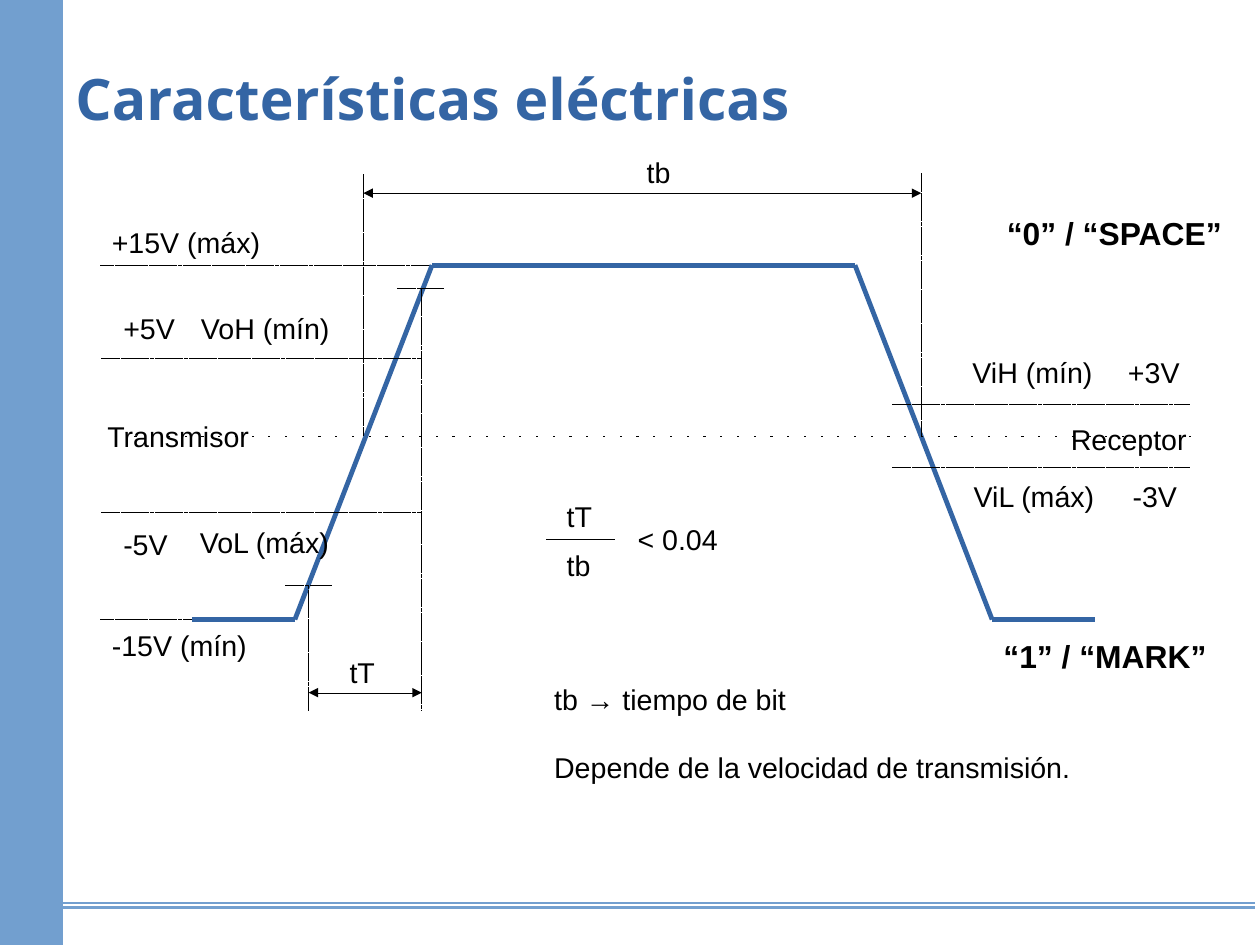
from itertools import pairwise

from pptx import Presentation
from pptx import util as u
from pptx.dml.color import RGBColor
from pptx.enum import shapes, text
from pptx.oxml import parse_xml
from pptx.oxml.ns import nsdecls

GRID = u.Inches(0.1)  # one column or row of the slide grid
BAND, WAVE, INK = "729FCF", "3465A4", "000000"
DASHED = '<a:prstDash %s val="sysDash"/>' % nsdecls("a")
DOTTED = ('<a:custDash %s><a:ds d="100000" sp="1280000"/></a:custDash>'
          % nsdecls("a"))
color = RGBColor.from_string

deck = Presentation()
deck.slide_width, deck.slide_height = u.Cm(28), u.Cm(21)
slide = deck.slides.add_slide(deck.slide_layouts[5])


def write(content, at, shape=None, size=18, font="Arial", ink=INK, bold=False,
          wrap=False, spacing=None, gap=0):
    """Place text on the grid; each line of content is a paragraph."""
    left, top, width, height = (int(v * GRID) for v in at)
    if shape is None:
        shape = slide.shapes.add_textbox(left, top, width, height)
    shape.left, shape.top, shape.width, shape.height = left, top, width, height
    frame = shape.text_frame
    frame.text = content
    frame.word_wrap = wrap
    frame.auto_size = text.MSO_AUTO_SIZE.SHAPE_TO_FIT_TEXT
    frame.vertical_anchor = text.MSO_ANCHOR.TOP
    for number, paragraph in enumerate(frame.paragraphs):
        paragraph.alignment = text.PP_ALIGN.LEFT
        paragraph.line_spacing = spacing
        paragraph.space_before = u.Pt(gap if number else 0)
        for run in paragraph.runs:
            run.font.size, run.font.name, run.font.bold = u.Pt(size), font, bold
            run.font.color.rgb = color(ink)


def rule(start, end, ink=INK, weight=0, dash=None, arrows=False):
    """Draw a straight line between two grid points; weight 0 is a hairline."""
    ends = [int(v * GRID) for v in (*start, *end)]
    line = slide.shapes.add_connector(shapes.MSO_CONNECTOR.STRAIGHT, *ends)
    line.line.color.rgb = color(ink)
    outline = line.line._get_or_add_ln()
    outline.set("w", str(int(u.Pt(weight))))
    if dash:
        outline.append(parse_xml(dash))
    if arrows:
        for tip in ("headEnd", "tailEnd"):
            outline.append(parse_xml(
                '<a:%s %s type="triangle"/>' % (tip, nsdecls("a"))))
    line._element.spPr.append(parse_xml("<a:effectLst %s/>" % nsdecls("a")))


# Side band and double footer rule
band = slide.shapes.add_shape(shapes.MSO_SHAPE.RECTANGLE, 0, 0,
                              int(5.5 * GRID), deck.slide_height)
band.shadow.inherit = False
band.fill.solid()
band.fill.fore_color.rgb = color(BAND)
band.line.fill.background()
for row in (79.4, 79):
    rule((1.8, row), (109.8, row), BAND, 1.45)

# Title
write("Características eléctricas", (5.6, 2, 103.8, 11.2), slide.shapes.title,
      size=36, font="Open Sans", ink=WAVE, bold=True, wrap=True, spacing=1.5)

# Key levels and instants of the signal
HIGH, ZERO, LOW = 23.2, 38.2, 54.2
RISE_START, RISE_END = 27, 36.9
BIT_START, BIT_END = 31.8, 80.6

# Outer transmitter levels, below the wave
for level, end in ((LOW, 25.8), (HIGH, 43.8)):
    rule((8.8, level), (end, level), dash=DASHED)

# Trapezoidal wave
wave = [(16.8, LOW), (25.8, LOW), (37.8, HIGH),
        (74.8, HIGH), (86.8, LOW), (95.8, LOW)]
for start, end in pairwise(wave):
    rule(start, end, WAVE, 3)

# Zero axis, then transmitter and receiver thresholds
rule((11.8, ZERO), (104.8, ZERO), dash=DOTTED)
for left, length, levels in ((8.9, 28, (31.4, 44.8)),
                             (78.1, 26, (35.4, 40.9))):
    for level in levels:
        rule((left, level), (left + length, level), dash=DASHED)

# Transition ticks and time guides
for left, level in ((34.8, 25.2), (25, 51.2)):
    rule((left, level), (left + 4, level), dash=DASHED)
for column, top, bottom in ((RISE_START, 51.2, 62.2), (RISE_END, 25.2, 62.2),
                            (BIT_START, 15.3, ZERO), (BIT_END, 15.2, ZERO)):
    rule((column, top), (column, bottom), dash=DASHED)

# Time spans
rule((RISE_START, 60.6), (RISE_END, 60.6), arrows=True)
rule((BIT_START, 16.9), (BIT_END, 16.9), arrows=True)

# Labels: text, column, row, width
labels = [
    ("+15V (máx)", 8.8, 19.2, 15), ("-15V (mín)", 8.8, 54.4, 13.8),
    ("+5V", 9.8, 26.7, 6.5), ("VoH (mín)", 16.6, 26.7, 13.4),
    ("-5V", 9.8, 45.6, 5.9), ("VoL (máx)", 16.5, 45.4, 13.4),
    ("ViH (mín)", 84.1, 30.6, 12.6), ("+3V", 97.7, 30.6, 6.5),
    ("ViL (máx)", 84.2, 41.4, 12.7), ("-3V", 98.1, 41.4, 5.9),
    ("Transmisor", 8.4, 36.2, 14.5), ("Receptor", 92.7, 36.4, 12.3),
    ("tT", 29.6, 56.8, 4.2), ("tb", 55.6, 13.1, 4.1),
]
for label, column, row, width in labels:
    write(label, (column, row, width, 3.8))

# Logic states
write("“0” / “SPACE”", (87.1, 18.2, 20.8, 4.1), size=20, bold=True)
write("“1” / “MARK”", (86.8, 55.2, 19.8, 4.1), size=20, bold=True)

# Ratio of transition time to bit time
write("tT", (48.6, 43.2, 4.2, 3.8))
rule((47.8, 47.2), (53.8, 47.2))
write("tb", (48.6, 47.4, 4.1, 3.8))
write("< 0.04", (54.8, 45.2, 12, 3.8), wrap=True)

# Explanation
write("tb → tiempo de bit\nDepende de la velocidad de transmisión.",
      (47.5, 59.2, 47.4, 9.4), gap=21)

deck.save("out.pptx")
